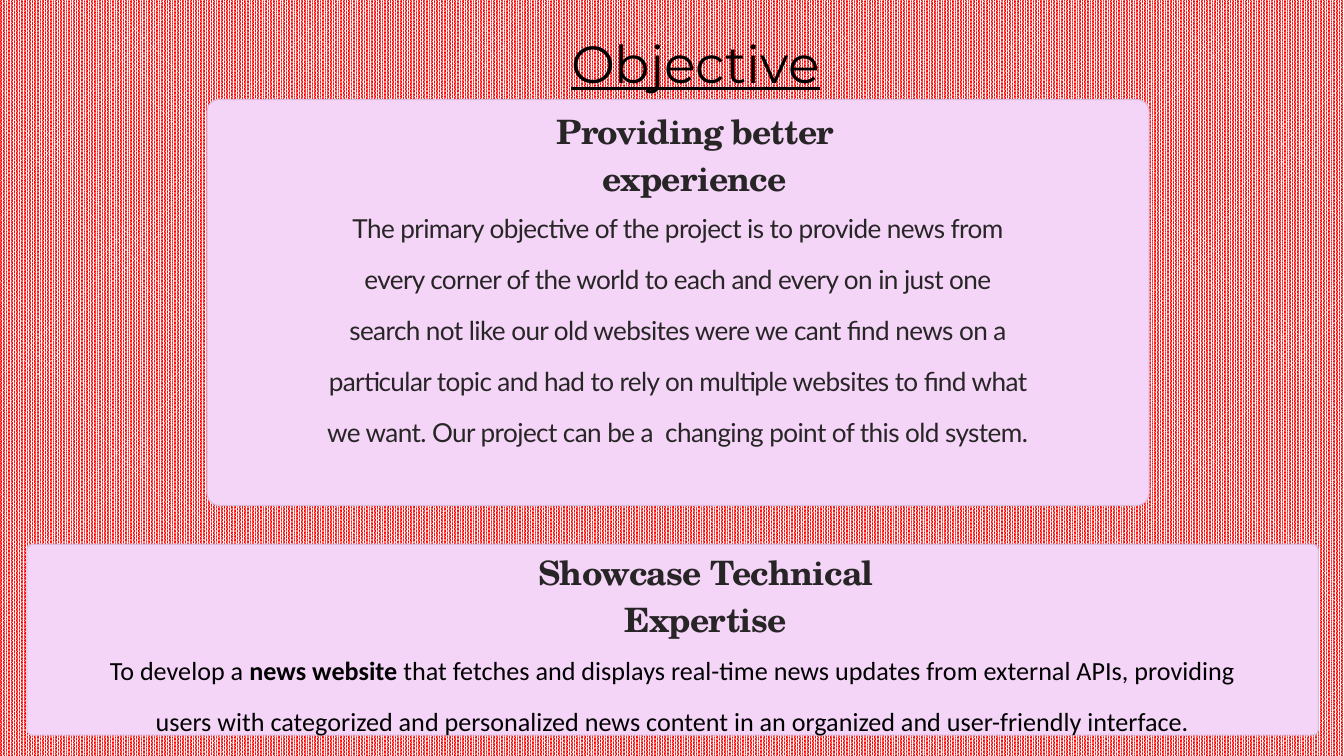
from typing import NamedTuple

from pptx import Presentation
from pptx import util as u
from pptx.dml.color import RGBColor
from pptx.enum import dml, shapes, text

SLIDE_WIDTH = 10
SLIDE_HEIGHT = SLIDE_WIDTH * 9 / 16

COLORS = {
    "white": "FFFFFF",
    "red": "FF0000",
    "panel": "F4D4F7",
    "border": "DABADD",
    "ink": "272525",
    "black": "000000",
}


class Box(NamedTuple):
    left: float
    top: float
    width: float
    height: float

    def lengths(self) -> list[u.Length]:
        return [u.Inches(value) for value in self]


class Section(NamedTuple):
    panel: Box
    heading_box: Box
    heading: str
    body_box: Box
    body: list[str]
    body_format: dict


SECTIONS = [
    Section(
        Box(1.54, 0.74, 7.01, 3.02),
        Box(3.81, 0.78, 2.72, 0.54),
        "Providing better experience",
        Box(2.43, 1.43, 5.22, 1.48),
        ["The primary objective of the project is to provide news from every "
         "corner of the world to each and every on in just one search not like "
         "our old websites were we cant find news on a particular topic and had "
         "to rely on multiple websites to find what we want. Our project can be "
         "a  changing point of this old system."],
        dict(font="Lato", color="ink", tracking=-0.35),
    ),
    Section(
        Box(0.2, 4.05, 9.61, 1.42),
        Box(3.89, 4.06, 2.72, 0.54),
        "Showcase Technical Expertise",
        Box(0.65, 4.72, 8.71, 0.74),
        ["To develop a ",
         "news website",
         " that fetches and displays real-time news updates from external APIs, "
         "providing users with categorized and personalized news content in an "
         "organized and user-friendly interface."],
        dict(font="Calibri", color="black"),
    ),
]


def rgb(name: str) -> RGBColor:
    return RGBColor.from_string(COLORS[name])


def add_text(slide, box: Box, parts: list[str], *, font: str, size: float,
             color: str, line_spacing: float, bold: bool = False,
             underline: bool = False, tracking: float = 0,
             wrap: bool = True) -> None:
    """Add one centred paragraph; every second part is emphasised in bold."""
    frame = slide.shapes.add_textbox(*box.lengths()).text_frame
    frame.word_wrap = wrap
    frame.margin_left = frame.margin_right = 0
    frame.margin_top = frame.margin_bottom = 0
    paragraph = frame.paragraphs[0]
    paragraph.alignment = text.PP_ALIGN.CENTER
    paragraph.line_spacing = u.Pt(line_spacing)
    for index, part in enumerate(parts):
        run = paragraph.add_run()
        run.text = part
        run.font.name = font
        run.font.size = u.Pt(size)
        run.font.bold = bold or index % 2 == 1
        run.font.underline = underline
        run.font.color.rgb = rgb(color)
        if tracking:
            run._r.get_or_add_rPr().set("spc", str(round(tracking * 100)))


def add_panel(slide, box: Box) -> None:
    panel = slide.shapes.add_shape(
        shapes.MSO_SHAPE.ROUNDED_RECTANGLE, *box.lengths())
    panel.adjustments[0] = 0.03
    panel.shadow.inherit = False
    panel.fill.solid()
    panel.fill.fore_color.rgb = rgb("panel")
    panel.line.color.rgb = rgb("border")
    panel.line.width = u.Pt(0.6)


def add_section(slide, section: Section) -> None:
    add_panel(slide, section.panel)
    add_text(slide, section.heading_box, [section.heading],
             font="TeX Gyre Schola", size=18, color="ink", bold=True,
             tracking=-0.43, line_spacing=25.1)
    add_text(slide, section.body_box, section.body, size=14,
             line_spacing=27.4, **section.body_format)


def main() -> None:
    presentation = Presentation()
    presentation.slide_width = u.Inches(SLIDE_WIDTH)
    presentation.slide_height = u.Inches(SLIDE_HEIGHT)
    slide = presentation.slides.add_slide(presentation.slide_layouts[6])

    background = slide.background.fill
    background.patterned()
    background.pattern = dml.MSO_PATTERN.PERCENT_90
    background.fore_color.rgb = rgb("white")
    background.back_color.rgb = rgb("red")

    add_text(slide, Box(2.72, 0, 4.91, 0.54), ["Objective"],
             font="Montserrat", size=28, color="black", underline=True,
             line_spacing=50.2, wrap=False)
    for section in SECTIONS:
        add_section(slide, section)
    presentation.save("out.pptx")


if __name__ == "__main__":
    main()
